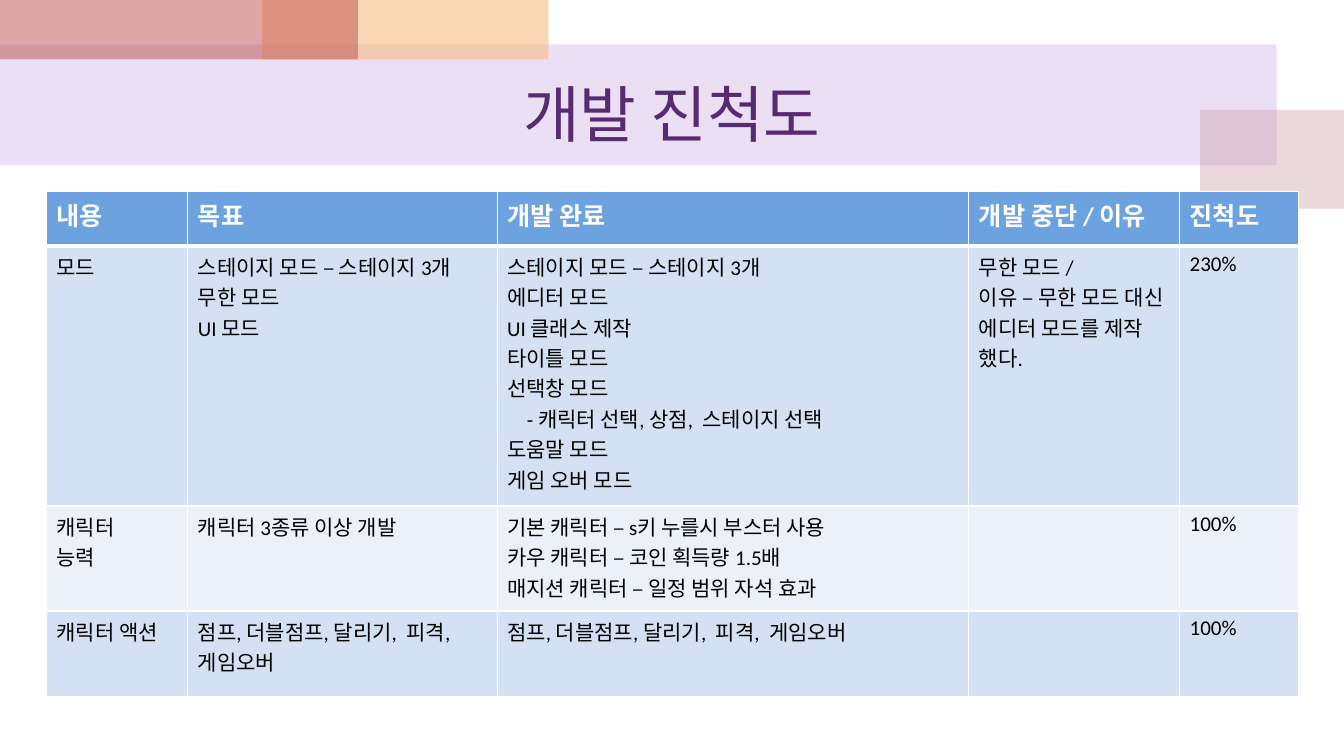
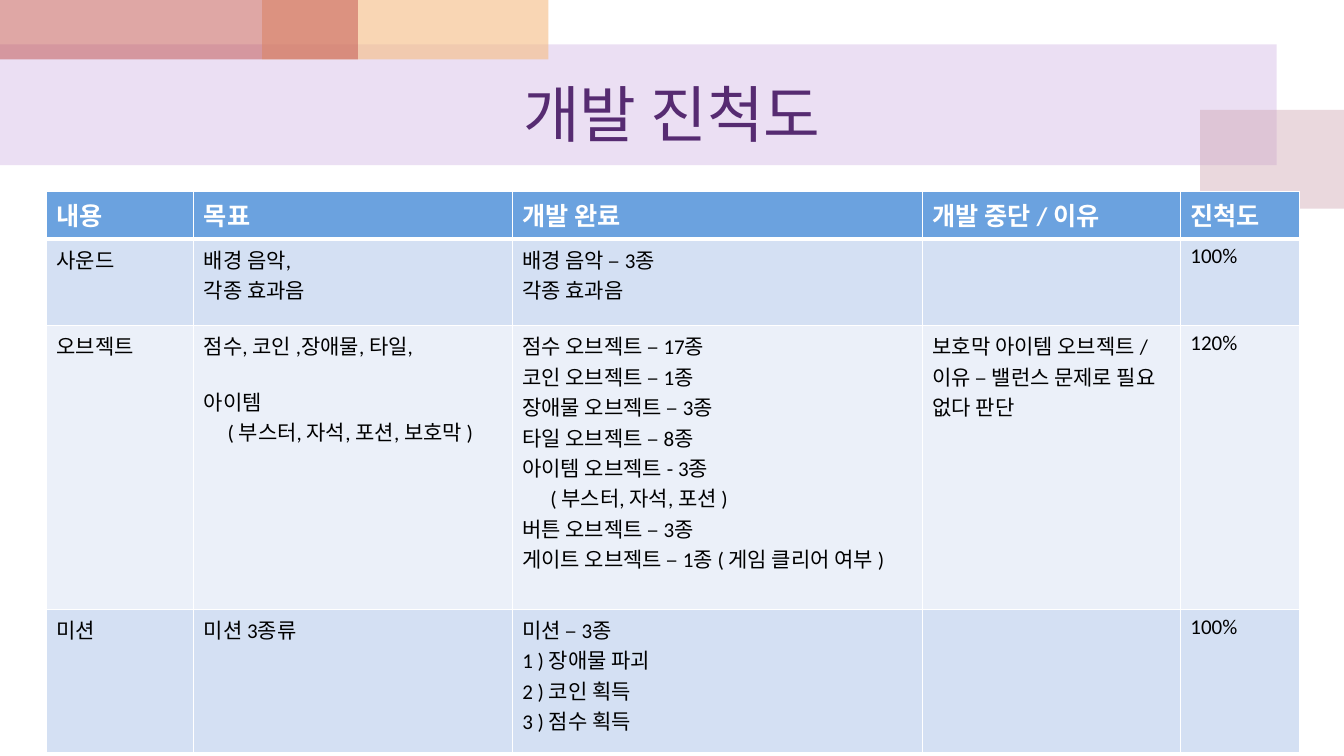
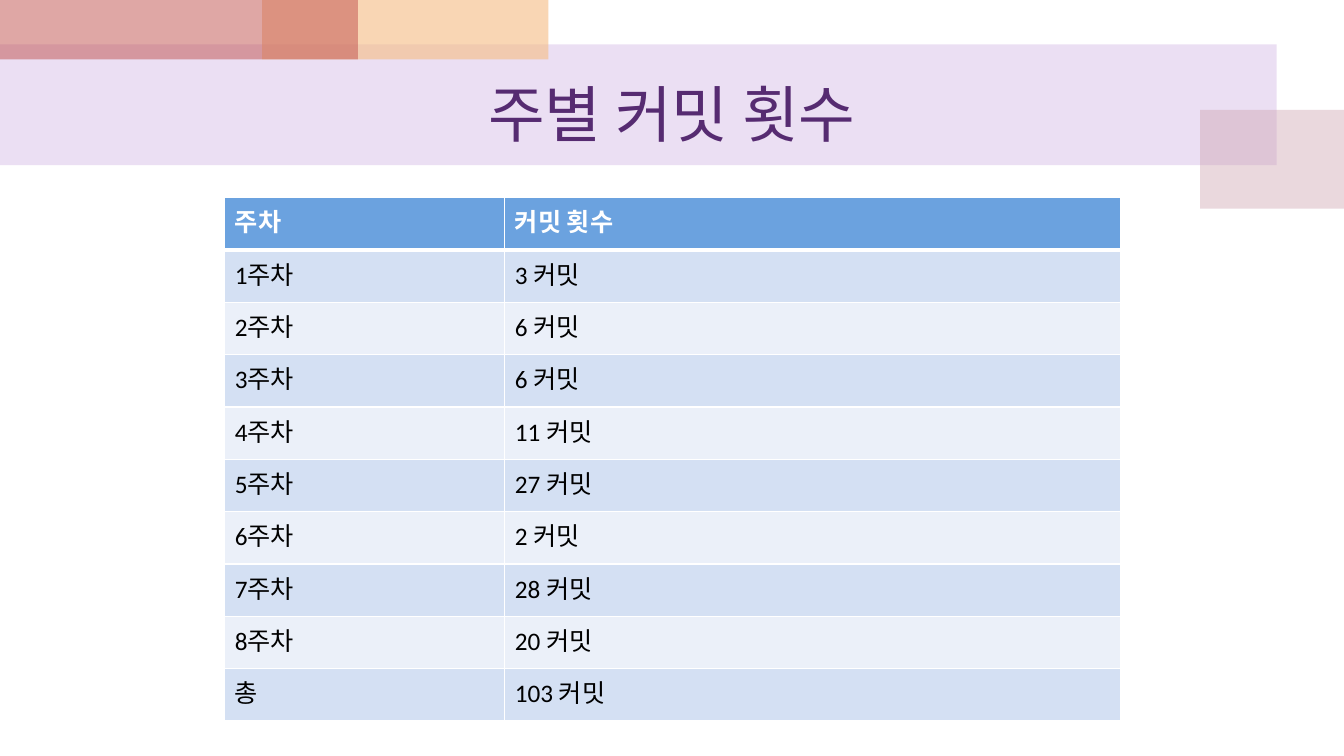
from pptx import Presentation
from pptx.dml.color import RGBColor
from pptx.enum import shapes
from pptx.oxml import ns, xmlchemy
from pptx.util import Pt

FONT = "Calibri"
TITLE_COLOUR, HEADER_FILL, WHITE, BLACK = "562B71", "6BA2DF", "FFFFFF", "000000"
ROW_FILLS = ("D4E0F3", "EBF0F9")

# left, top, width, height, colour, opacity in percent; from back to front
BANDS = [
    (0, 31.7, 912, 86.4, "BF98D8", 30),
    (857.3, 78.5, 102.7, 70.6, "CC9EAC", 40),
    (187.2, 0, 204.5, 42.5, "F5BC83", 60),
    (0, 0, 255.6, 42.5, "C0504D", 50),
]

# A cell is a list of lines; a line is a text or (text, first-line indent, space before)
PROGRESS_HEADER = [["내용"], ["목표"], ["개발 완료"], ["개발 중단 / 이유"], ["진척도"]]
ACTIONS = ["점프, 더블점프, 달리기,  피격,  게임오버"]
MODE_ROWS = [
    PROGRESS_HEADER,
    [["모드"],
     ["스테이지 모드 – 스테이지 3개", "무한 모드", "UI 모드"],
     ["스테이지 모드 – 스테이지 3개", "에디터 모드", "UI 클래스 제작", "타이틀 모드",
      "선택창 모드", ("- 캐릭터 선택, 상점,  스테이지 선택", 14, 0),
      "도움말 모드", "게임 오버 모드"],
     ["무한 모드 /", "이유 – 무한 모드 대신 에디터 모드를 제작 했다."],
     ["230%"]],
    [["캐릭터", "능력"],
     ["캐릭터 3종류 이상 개발"],
     ["기본 캐릭터 – s키 누를시 부스터 사용", "카우 캐릭터 – 코인 획득량 1.5배",
      "매지션 캐릭터 – 일정 범위 자석 효과"],
     [], ["100%"]],
    [["캐릭터 액션"], ACTIONS, ACTIONS, [], ["100%"]],
]
OBJECT_ROWS = [
    PROGRESS_HEADER,
    [["사운드"], ["배경 음악,", "각종 효과음"], ["배경 음악 – 3종", "각종 효과음"],
     [], ["100%"]],
    [["오브젝트"],
     ["점수, 코인 ,장애물, 타일,", ("아이템", 0, 18),
      ("( 부스터, 자석, 포션, 보호막 )", 17, 0)],
     ["점수 오브젝트 – 17종", "코인 오브젝트 – 1종", "장애물 오브젝트 – 3종",
      "타일 오브젝트 – 8종", "아이템 오브젝트 - 3종", ("( 부스터, 자석, 포션 )", 20, 0),
      "버튼 오브젝트 – 3종", "게이트 오브젝트 – 1종 ( 게임 클리어 여부 )"],
     ["보호막 아이템 오브젝트 /", "이유 – 밸런스 문제로 필요 없다 판단"],
     ["120%"]],
    [["미션"], ["미션 3종류"],
     ["미션 – 3종", "1 ) 장애물 파괴", "2 ) 코인 획득", "3 ) 점수 획득"],
     [], ["100%"]],
]
WEEKLY_COMMITS = [3, 6, 6, 11, 27, 2, 28, 20]
COMMIT_ROWS = [
    [["주차"], ["커밋 횟수"]],
    *([[f"{week}주차"], [f"{count} 커밋"]] for week, count in enumerate(WEEKLY_COMMITS, 1)),
    [["총"], [f"{sum(WEEKLY_COMMITS)} 커밋"]],
]

PAGES = [
    dict(title="개발 진척도", rows=MODE_ROWS, left=33.3, top=136.8, size=15,
         widths=[100.8, 221, 337, 150.5, 85], heights=[38.9, 185.8, 74.9, 61.2]),
    dict(title="개발 진척도", rows=OBJECT_ROWS, left=33.3, top=136.8, size=15,
         widths=[105.1, 227.5, 293, 184.3, 85], heights=[33.8, 61.9, 170.6, 102.2]),
    dict(title="주별 커밋 횟수", rows=COMMIT_ROWS, left=160.6, top=141.1, size=18,
         widths=[200, 439.6], heights=[37.4] * len(COMMIT_ROWS)),
]


def rgb(colour):
    return RGBColor.from_string(colour)


def style_font(font, size, colour, bold=False):
    font.name, font.size, font.bold = FONT, Pt(size), bold
    font.color.rgb = rgb(colour)


def add_bands(page, layout):
    """Draw the bands on a page, then move them behind everything on its layout."""
    for order, (left, top, width, height, colour, opacity) in enumerate(BANDS):
        band = page.shapes.add_shape(shapes.MSO_SHAPE.RECTANGLE,
                                     Pt(left), Pt(top), Pt(width), Pt(height))
        band.shadow.inherit = False
        band.line.fill.background()
        band.fill.solid()
        band.fill.fore_color.rgb = rgb(colour)
        for tint in band.element.iter(ns.qn("a:srgbClr")):
            xmlchemy.OxmlElement("a:alpha")
            alpha = tint.makeelement(ns.qn("a:alpha"), {"val": str(opacity * 1000)})
            tint.append(alpha)
        band.element.nvSpPr.cNvPr.id = 100 + order
        layout.shapes.element.insert(2 + order, band.element)


def set_borders(cell, top, bottom):
    """Draw white borders, with the top and bottom widths given in points."""
    properties = cell._tc.get_or_add_tcPr()
    widths = {"lnL": 1, "lnR": 1, "lnT": top, "lnB": bottom}
    for order, (side, width) in enumerate(widths.items()):
        border = ns.nsdecls("a")
        border = properties.makeelement(ns.qn(f"a:{side}"), {"w": str(Pt(width))})
        fill = border.makeelement(ns.qn("a:solidFill"), {})
        fill.append(fill.makeelement(ns.qn("a:srgbClr"), {"val": WHITE}))
        border.append(fill)
        properties.insert(order, border)


def fill_cell(cell, lines, size, colour, bold):
    frame = cell.text_frame
    for order, line in enumerate(lines):
        words, indent, before = (line, 0, 0) if isinstance(line, str) else line
        para = frame.add_paragraph() if order else frame.paragraphs[0]
        para.text = words
        if indent:
            para._p.get_or_add_pPr().set("indent", str(Pt(indent)))
        if before:
            para.space_before = Pt(before)
        for span in para.runs:
            style_font(span.font, size, colour, bold)


def add_grid(page, rows, left, top, size, widths, heights):
    table = page.shapes.add_table(len(rows), len(widths), Pt(left), Pt(top),
                                  Pt(sum(widths)), Pt(sum(heights))).table
    for column, width in zip(table.columns, widths):
        column.width = Pt(width)
    for r, (row, height) in enumerate(zip(rows, heights)):
        table.rows[r].height = Pt(height)
        header = r == 0
        for c, lines in enumerate(row):
            cell = table.cell(r, c)
            cell.fill.solid()
            cell.fill.fore_color.rgb = rgb(HEADER_FILL if header else ROW_FILLS[(r - 1) % 2])
            set_borders(cell, top=3 if r == 1 else 1, bottom=3 if header else 1)
            fill_cell(cell, lines, 18 if header else size, WHITE if header else BLACK, header)


def main():
    deck = Presentation()
    deck.slide_width, deck.slide_height = Pt(960), Pt(540)
    layout = deck.slide_layouts.get_by_name("Title Only")
    heading = layout.placeholders[0]
    heading.left, heading.top, heading.width, heading.height = Pt(48), Pt(42.5), Pt(864), Pt(75.6)
    for order, content in enumerate(PAGES):
        page = deck.slides.add_slide(layout)
        if order == 0:
            add_bands(page, layout)
        title = page.shapes.title
        title.text_frame.text = content["title"]
        style_font(title.text_frame.paragraphs[0].runs[0].font, 44, TITLE_COLOUR)
        add_grid(page, **{key: value for key, value in content.items() if key != "title"})
    deck.save("out.pptx")


if __name__ == "__main__":
    main()
